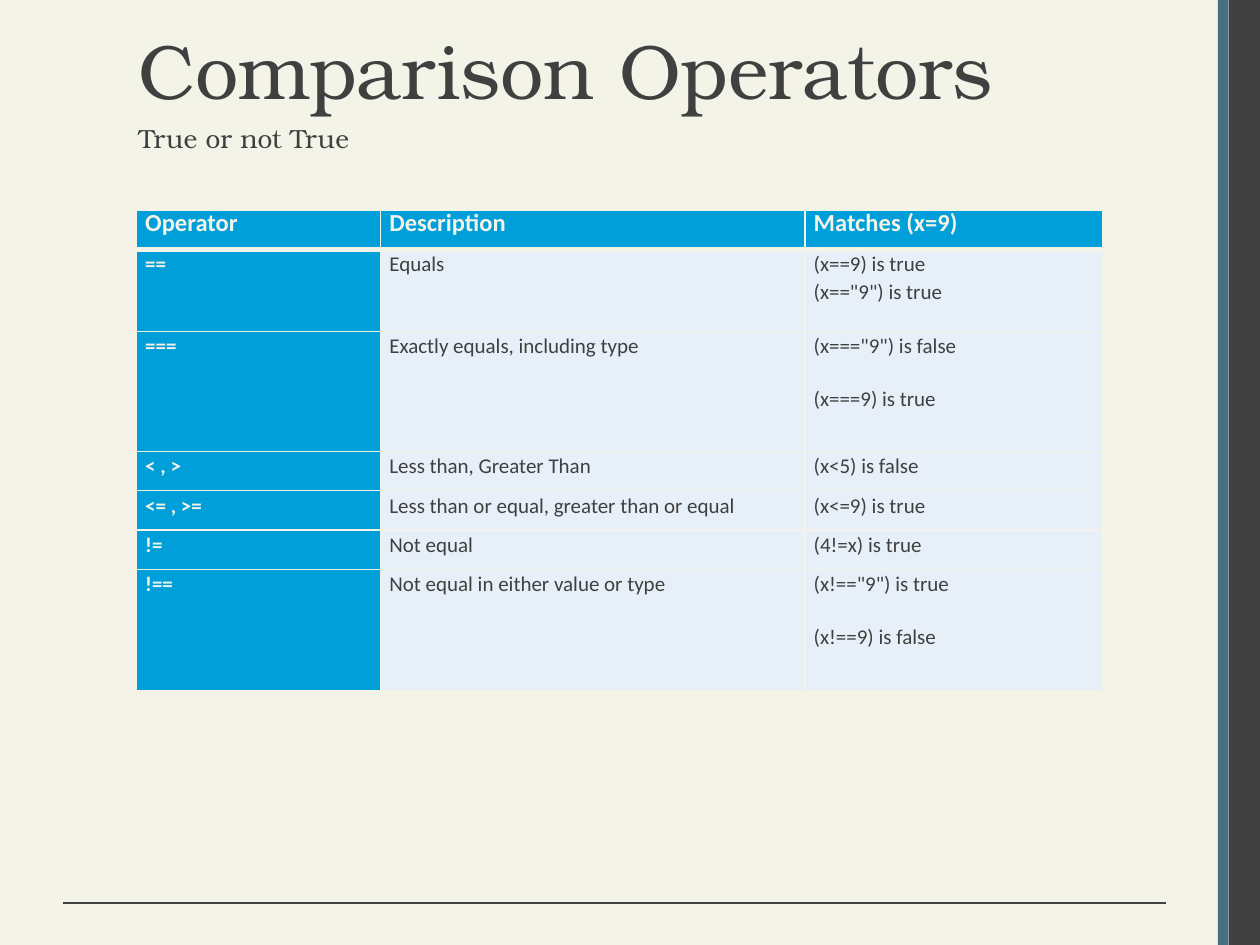
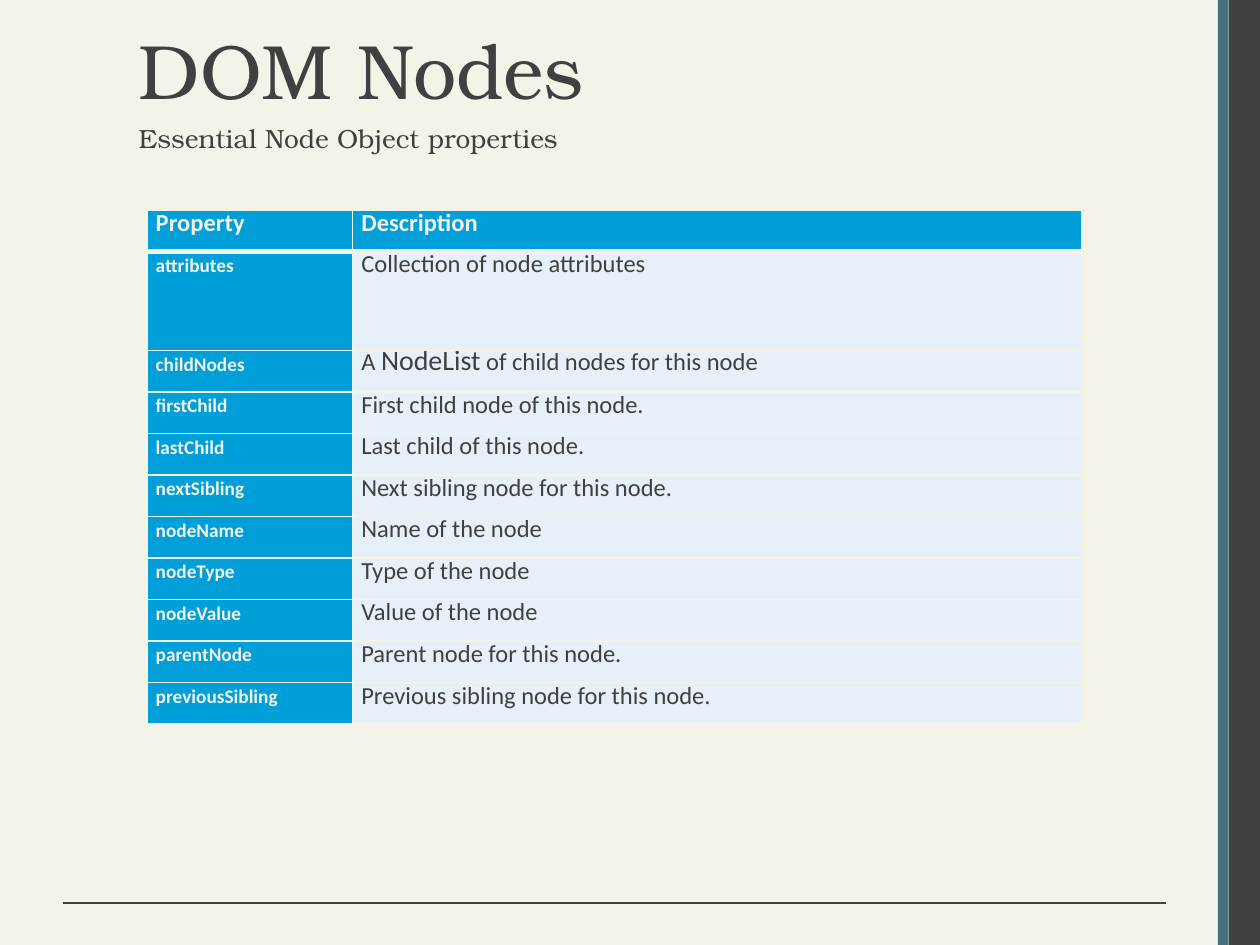
"""Build two reference-table slides about JavaScript operators and DOM nodes."""
import dataclasses

import lxml.etree
import pptx
import pptx.dml.color
import pptx.enum.shapes
import pptx.enum.text
import pptx.oxml.ns
import pptx.util

Pt = pptx.util.Pt
qn = pptx.oxml.ns.qn


@dataclasses.dataclass(frozen=True)
class Theme:
    """Colours, fonts and type sizes shared by the slides."""
    paper: str = "F3F3E7"
    ink: str = "404040"
    band: str = "467082"
    accent: str = "009FDA"
    cell: str = "E7F0F8"
    heading_font: str = "TeX Gyre Bonum"
    table_font: str = "Calibri"
    title_size: float = 44
    subtitle_size: float = 15
    header_size: float = 14
    emphasis_size: float = 16
    grid_width: float = 1
    header_rule_width: float = 3


THEME = Theme()


@dataclasses.dataclass(frozen=True)
class Box:
    """A rectangle in points."""
    left: float
    top: float
    width: float
    height: float

    def lengths(self) -> tuple:
        """Return the four lengths for python-pptx."""
        return tuple(Pt(value) for value in dataclasses.astuple(self))


@dataclasses.dataclass(frozen=True)
class Row:
    """A table row, with an optional enlarged word in its cells."""
    height: float
    cells: tuple[str, ...]
    emphasis: str = ""


@dataclasses.dataclass(frozen=True)
class TableSlide:
    """A title, a subtitle and one table."""
    title: str
    subtitle: str
    left: float
    column_widths: tuple[float, ...]
    rows: tuple[Row, ...]
    key_size: float
    key_spacing: float
    key_space_after: float
    body_size: float


TITLE_BOX = Box(72, 9, 612, 81)
SUBTITLE_BOX = Box(72, 66, 504, 24)
BANDS = ((Box(702, 0, 18, 540), THEME.ink), (Box(696, 0, 6, 540), THEME.band))
TABLE_TOP = 120
CELL_INSET = 5
LINE_SPACING = 16
PARAGRAPH_GAP = 7
HEADER_GAP = 14
OPERATOR_HEIGHT = 22.5
NODE_HEIGHT = 23.75

OPERATORS = TableSlide(
    "Comparison Operators", "True or not True", 78, (139.5, 242.5, 170),
    (
        Row(OPERATOR_HEIGHT, ("Operator", "Description", "Matches (x=9)")),
        Row(47, ("==", "Equals", '(x==9) is true\v(x=="9") is true')),
        Row(68.5, ("===", "Exactly equals, including type",
                   '(x==="9") is false\n(x===9) is true')),
        Row(OPERATOR_HEIGHT, ("< , >", "Less than, Greater Than", "(x<5) is false")),
        Row(OPERATOR_HEIGHT, ("<= , >=", "Less than or equal, greater than or equal",
                              "(x<=9) is true")),
        Row(OPERATOR_HEIGHT, ("!=", "Not equal", "(4!=x) is true")),
        Row(69.5, ("!==", "Not equal in either value or type",
                   '(x!=="9") is true\n(x!==9) is false')),
    ),
    key_size=12, key_spacing=LINE_SPACING, key_space_after=PARAGRAPH_GAP, body_size=12)

NODES = TableSlide(
    "DOM Nodes", "Essential Node Object properties", 84, (117.5, 416.5),
    (
        Row(NODE_HEIGHT, ("Property", "Description")),
        Row(56.5, ("attributes", "Collection of node attributes")),
        Row(NODE_HEIGHT, ("childNodes", "A NodeList of child nodes for this node"), "NodeList"),
        Row(NODE_HEIGHT, ("firstChild", "First child node of this node.")),
        Row(NODE_HEIGHT, ("lastChild", "Last child of this node.")),
        Row(NODE_HEIGHT, ("nextSibling", "Next sibling node for this node.")),
        Row(NODE_HEIGHT, ("nodeName", "Name of the node")),
        Row(NODE_HEIGHT, ("nodeType", "Type of the node")),
        Row(NODE_HEIGHT, ("nodeValue", "Value of the node")),
        Row(NODE_HEIGHT, ("parentNode", "Parent node for this node.")),
        Row(NODE_HEIGHT, ("previousSibling", "Previous sibling node for this node.")),
    ),
    key_size=11, key_spacing=15, key_space_after=0, body_size=14)


def rgb(color: str) -> pptx.dml.color.RGBColor:
    """Turn a hex string into a colour."""
    return pptx.dml.color.RGBColor.from_string(color)


def add_text(paragraph, text: str, *, size: float, color: str, font: str,
             bold: bool = False) -> None:
    """Add formatted text, with a line break at each vertical tab."""
    for index, line in enumerate(text.split("\v")):
        if index:
            paragraph.add_line_break()
        run = paragraph.add_run()
        run.text = line
        run.font.size = Pt(size)
        run.font.name = font
        run.font.bold = bold
        run.font.color.rgb = rgb(color)


def fill_placeholder(shape, box: Box, text: str, size: float):
    """Move a placeholder, write its text and return its paragraph."""
    shape.left, shape.top, shape.width, shape.height = box.lengths()
    frame = shape.text_frame
    frame.word_wrap = True
    frame.auto_size = pptx.enum.text.MSO_AUTO_SIZE.NONE
    frame.vertical_anchor = pptx.enum.text.MSO_ANCHOR.TOP
    paragraph = frame.paragraphs[0]
    paragraph.alignment = pptx.enum.text.PP_ALIGN.LEFT
    add_text(paragraph, text, size=size, color=THEME.ink, font=THEME.heading_font)
    return paragraph


def set_borders(cell, top: float, bottom: float) -> None:
    """Draw the four borders of a table cell."""
    properties = cell._tc.get_or_add_tcPr()
    widths = {"lnL": THEME.grid_width, "lnR": THEME.grid_width, "lnT": top, "lnB": bottom}
    for index, (tag, width) in enumerate(widths.items()):
        line = lxml.etree.Element(qn(f"a:{tag}"), w=str(Pt(width)))
        fill = lxml.etree.SubElement(line, qn("a:solidFill"))
        lxml.etree.SubElement(fill, qn("a:srgbClr"), val=THEME.paper)
        properties.insert(index, line)


def fill_cell(cell, content: TableSlide, row_index: int, column_index: int) -> None:
    """Write and format one table cell according to its role."""
    row = content.rows[row_index]
    header, key = row_index == 0, column_index == 0
    strong = header or key
    size, spacing, gap = content.body_size, LINE_SPACING, PARAGRAPH_GAP
    if header:
        size, gap = THEME.header_size, HEADER_GAP
    elif key:
        size, spacing, gap = content.key_size, content.key_spacing, content.key_space_after
    cell.margin_left = cell.margin_right = Pt(CELL_INSET)
    cell.margin_top = cell.margin_bottom = 0
    cell.fill.solid()
    cell.fill.fore_color.rgb = rgb(THEME.accent if strong else THEME.cell)
    set_borders(cell, THEME.header_rule_width if row_index == 1 else THEME.grid_width,
                THEME.header_rule_width if header else THEME.grid_width)
    frame = cell.text_frame
    for index, text in enumerate(row.cells[column_index].split("\n")):
        paragraph = frame.add_paragraph() if index else frame.paragraphs[0]
        paragraph.line_spacing = Pt(spacing)
        paragraph.space_before = Pt(PARAGRAPH_GAP if index else 0)
        paragraph.space_after = Pt(gap)
        parts = text.partition(row.emphasis) if row.emphasis else (text,)
        for part in filter(None, parts):
            add_text(paragraph, part, bold=strong, font=THEME.table_font,
                     size=THEME.emphasis_size if part == row.emphasis else size,
                     color=THEME.paper if strong else THEME.ink)


def add_grid(slide, content: TableSlide) -> None:
    """Add the slide's table."""
    box = Box(content.left, TABLE_TOP, sum(content.column_widths),
              sum(row.height for row in content.rows))
    table = slide.shapes.add_table(
        len(content.rows), len(content.column_widths), *box.lengths()).table
    table.first_col = True
    table.horz_banding = False
    for column, width in zip(table.columns, content.column_widths):
        column.width = Pt(width)
    for row_index, row in enumerate(content.rows):
        table.rows[row_index].height = Pt(row.height)
        for column_index in range(len(row.cells)):
            fill_cell(table.cell(row_index, column_index), content, row_index, column_index)


def add_table_slide(presentation, content: TableSlide):
    """Add a slide with title, subtitle and table."""
    slide = presentation.slides.add_slide(presentation.slide_layouts[1])
    fill_placeholder(slide.shapes.title, TITLE_BOX, content.title, THEME.title_size)
    subtitle = fill_placeholder(
        slide.placeholders[1], SUBTITLE_BOX, content.subtitle, THEME.subtitle_size)
    properties = subtitle._p.get_or_add_pPr()
    properties.set("marL", str(Pt(27)))
    properties.set("indent", str(Pt(-27)))
    lxml.etree.SubElement(properties, qn("a:buNone"))
    subtitle.space_before = Pt(0)
    add_grid(slide, content)
    return slide


def decorate_master(presentation, slide) -> None:
    """Draw the shared bands and footer rule and move them to the master."""
    master = presentation.slide_master
    master.background.fill.solid()
    master.background.fill.fore_color.rgb = rgb(THEME.paper)
    decorations = []
    for box, color in BANDS:
        band = slide.shapes.add_shape(
            pptx.enum.shapes.MSO_SHAPE.RECTANGLE, *box.lengths())
        band.shadow.inherit = False
        band.fill.solid()
        band.fill.fore_color.rgb = rgb(color)
        band.line.fill.background()
        decorations.append(band)
    rule = slide.shapes.add_connector(
        pptx.enum.shapes.MSO_CONNECTOR.STRAIGHT, Pt(666), Pt(516), Pt(36), Pt(516))
    rule.line.color.rgb = rgb(THEME.ink)
    rule.line.width = Pt(0.75)
    lxml.etree.SubElement(rule.element.spPr, qn("a:effectLst"))
    decorations.append(rule)
    for number, shape in enumerate(decorations, start=20):
        shape.element.xpath(".//p:cNvPr")[0].set("id", str(number))
        master.shapes.element.append(shape.element)


def main() -> None:
    """Build and save the presentation."""
    presentation = pptx.Presentation()
    presentation.slide_width, presentation.slide_height = Pt(720), Pt(540)
    slides = [add_table_slide(presentation, content) for content in (OPERATORS, NODES)]
    decorate_master(presentation, slides[0])
    presentation.save("out.pptx")


if __name__ == "__main__":
    main()
